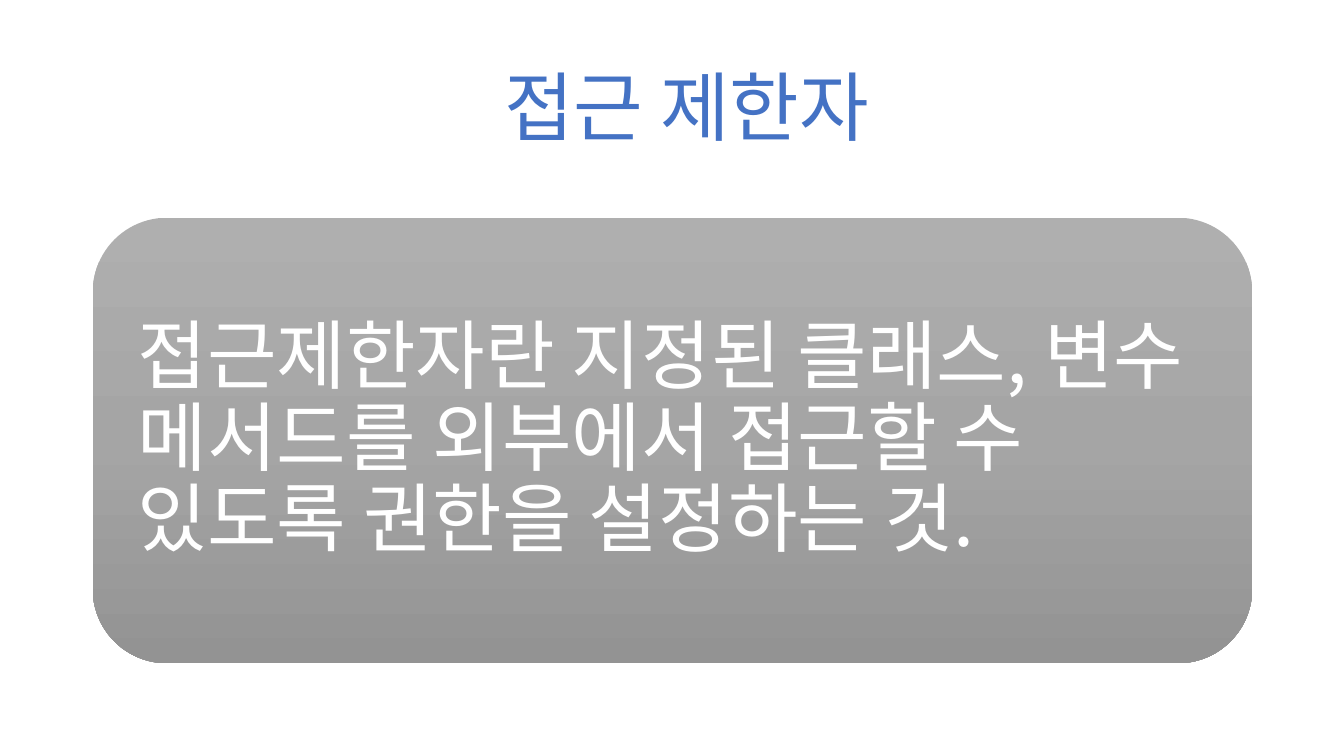
import copy

import lxml.etree
import pptx
import pptx.dml.color
import pptx.enum.shapes
import pptx.enum.text
import pptx.oxml.ns
import pptx.util

Inches = pptx.util.Inches
RGBColor = pptx.dml.color.RGBColor
ALIGN = pptx.enum.text.PP_ALIGN

TITLE = "접근 제한자"
DEFINITION = ("접근제한자란 지정된 클래스, 변수 메서드를 외부에서 "
              "접근할 수 있도록 권한을 설정하는 것.")

FONT = "Noto Sans CJK KR"
BLUE = RGBColor(0x44, 0x72, 0xC4)
WHITE = RGBColor(0xFF, 0xFF, 0xFF)
PANEL_STOPS = [
    (0, RGBColor(0xAF, 0xAF, 0xAF)),
    (0.5, RGBColor(0xA5, 0xA5, 0xA5)),
    (1, RGBColor(0x93, 0x93, 0x93)),
]

TITLE_AREA = (1.65, 0.38, 10.32, 1.45)
PANEL_AREA = (0.92, 2.16, 11.5, 4.42)
PANEL_PADDING = 0.215


def add_text(slide, text, area, color, align=ALIGN.LEFT, inset_x=0.1, inset_y=0.05, size=54):
    """Add a wrapped, vertically centred text box."""
    frame = slide.shapes.add_textbox(*map(Inches, area)).text_frame
    frame.word_wrap = True
    frame.vertical_anchor = pptx.enum.text.MSO_ANCHOR.MIDDLE
    frame.margin_left = frame.margin_right = Inches(inset_x)
    frame.margin_top = frame.margin_bottom = Inches(inset_y)
    paragraph = frame.paragraphs[0]
    paragraph.alignment = align
    paragraph.line_spacing = 0.9
    run = paragraph.add_run()
    run.text = text
    run.font.size = pptx.util.Pt(size)
    run.font.name = FONT
    run.font.color.rgb = color
    east_asian = lxml.etree.SubElement(run.font._element, pptx.oxml.ns.qn("a:ea"))
    east_asian.set("typeface", FONT)


def add_panel(slide, area, stops):
    """Add a rounded panel shaded from top to bottom."""
    panel = slide.shapes.add_shape(
        pptx.enum.shapes.MSO_SHAPE.ROUNDED_RECTANGLE, *map(Inches, area))
    panel.shadow.inherit = False
    panel.line.fill.background()
    panel.fill.gradient()
    panel.fill.gradient_angle = 270
    stop_list = next(panel._element.iter(pptx.oxml.ns.qn("a:gsLst")))
    while len(stop_list) < len(stops):
        stop_list.append(copy.deepcopy(stop_list[0]))
    for stop, (position, color) in zip(panel.fill.gradient_stops, stops):
        stop.position = position
        stop.color.rgb = color


def inset(area, padding):
    """Shrink an area by the same padding on every side."""
    left, top, width, height = area
    return left + padding, top + padding, width - 2 * padding, height - 2 * padding


deck = pptx.Presentation()
deck.slide_width, deck.slide_height = Inches(13.33), Inches(7.5)
slide = deck.slides.add_slide(deck.slide_layouts[6])

add_text(slide, TITLE, TITLE_AREA, BLUE, align=ALIGN.CENTER)
add_panel(slide, PANEL_AREA, PANEL_STOPS)
add_text(slide, DEFINITION, inset(PANEL_AREA, PANEL_PADDING), WHITE,
         inset_x=0.23, inset_y=0.23)

deck.save("out.pptx")
